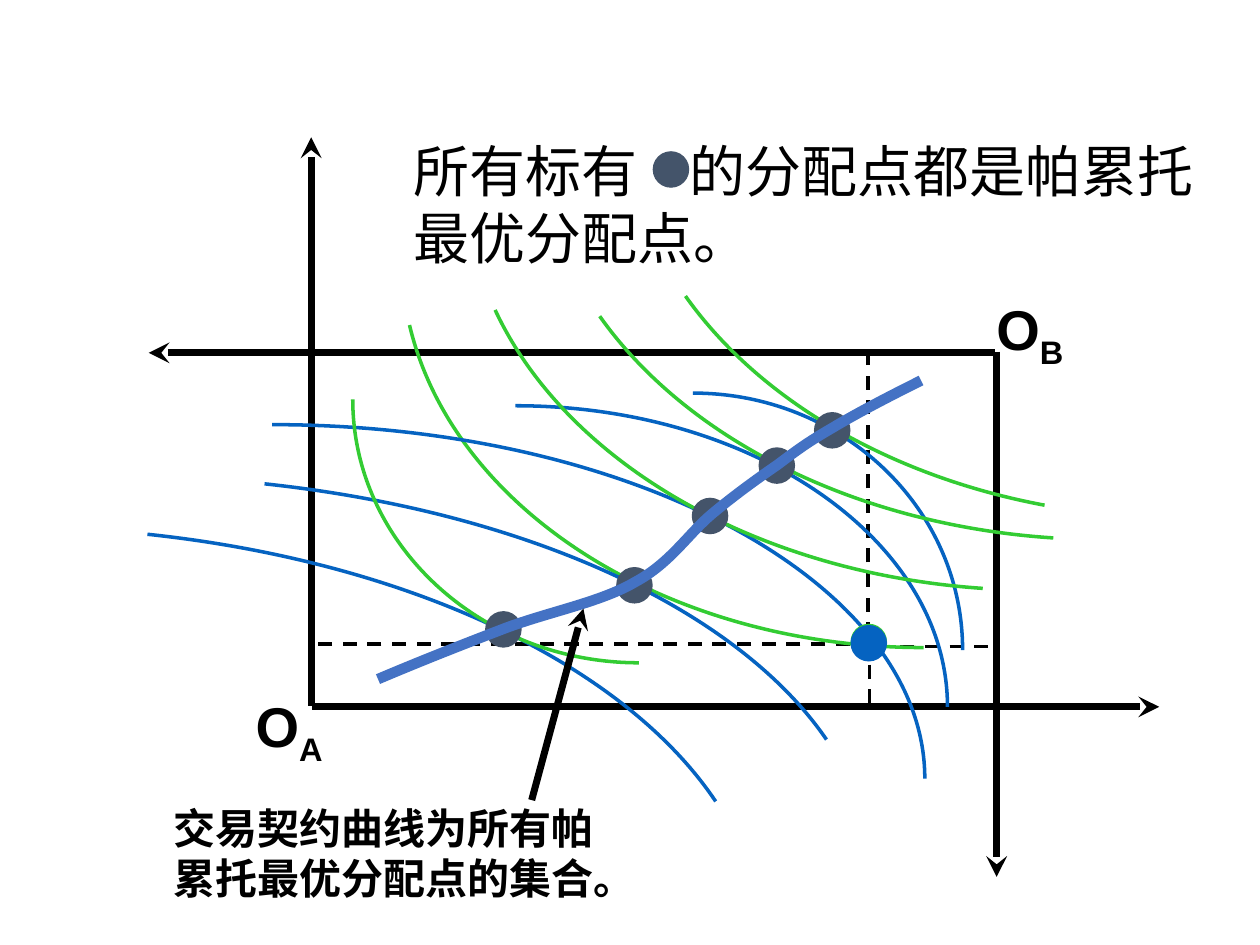
"""Build the Edgeworth box slide with its contract curve."""
from dataclasses import dataclass

import pptx
import pptx.dml.color
import pptx.enum.dml
import pptx.enum.shapes
import pptx.enum.text
import pptx.oxml
import pptx.oxml.ns
import pptx.util
from pptx.util import Inches

RGBColor = pptx.dml.color.RGBColor
BLACK = RGBColor(0x00, 0x00, 0x00)
GREEN = RGBColor(0x33, 0xCC, 0x33)
BLUE = RGBColor(0x05, 0x63, 0xC1)
SLATE = RGBColor(0x44, 0x54, 0x6A)
CONTRACT = RGBColor(0x44, 0x72, 0xC4)
DOT = 0.29
FONT = "Arial"

Point = tuple[float, float]


@dataclass
class Line:
    start: Point
    end: Point
    arrow: bool = True


@dataclass
class Curve:
    points: list[Point]
    color: RGBColor
    width: float = 2


@dataclass
class Dot:
    left: float
    top: float
    color: RGBColor = SLATE


@dataclass
class OriginLabel:
    left: float
    top: float
    agent: str


GUIDES = [
    Line((6.9, 5.08), (6.9, 5.6), False),
    Line((6.94, 5.11), (2.47, 5.11), False),
    Line((6.89, 5.05), (6.89, 2.82), False),
    Line((6.95, 5.13), (7.9, 5.13), False),
]
AXES = [
    Line((2.47, 5.6), (2.47, 1.09)),
    Line((2.48, 5.61), (9.2, 5.61)),
    Line((7.91, 2.79), (7.91, 6.96)),
    Line((7.9, 2.8), (1.18, 2.8)),
]
POINTER = Line((4.22, 6.35), (4.63, 4.83))
INDIFFERENCE = [
    Curve([(7.33, 5.14), (5.32, 5.14), (3.6, 4.06), (3.25, 2.58)], GREEN),
    Curve([(2.16, 3.37), (5.02, 3.37), (7.34, 4.63), (7.34, 6.18)], BLUE),
    Curve([(4.09, 3.22), (5.98, 3.22), (7.52, 4.29), (7.52, 5.61)], BLUE),
    Curve([(5.5, 3.12), (6.68, 3.12), (7.64, 4.03), (7.64, 5.16)], BLUE),
    Curve([(2.1, 3.84), (4.15, 4.06), (5.84, 4.82), (6.56, 5.87)], BLUE),
    Curve([(1.17, 4.24), (3.24, 4.46), (4.95, 5.27), (5.68, 6.36)], BLUE),
    Curve([(5.07, 5.26), (3.82, 5.26), (2.8, 4.32), (2.8, 3.17)], GREEN),
    Curve([(7.8, 4.67), (6.02, 4.55), (4.5, 3.68), (3.93, 2.46)], GREEN),
    Curve([(8.36, 4.27), (6.82, 4.17), (5.46, 3.5), (4.76, 2.51)], GREEN),
    Curve([(8.29, 4.01), (7.06, 3.78), (6.02, 3.17), (5.44, 2.35)], GREEN),
]
CONTRACT_CURVE = Curve([
    (3, 5.39), (3.33, 5.25), (3.66, 5.12), (4, 4.99),
    (4.34, 4.86), (4.77, 4.78), (5.04, 4.62),
    (5.32, 4.47), (5.46, 4.24), (5.65, 4.08),
    (5.83, 3.93), (6.01, 3.8), (6.17, 3.69),
    (6.33, 3.57), (6.41, 3.51), (6.6, 3.4),
    (6.8, 3.28), (7.05, 3.15), (7.31, 3.02),
], CONTRACT, 6)
DOTS = [
    Dot(6.75, 4.95, GREEN), Dot(6.75, 4.96, BLUE), Dot(3.85, 4.85),
    Dot(4.89, 4.5), Dot(5.49, 3.95), Dot(6.02, 3.55), Dot(6.46, 3.27),
    Dot(5.18, 1.2),
]
ORIGINS = [OriginLabel(1.93, 5.44, "A"), OriginLabel(7.81, 2.29, "B")]


def style_font(font, size: float, bold: bool) -> None:
    font.name = FONT
    font.size = pptx.util.Pt(size)
    font.bold = bold
    font.color.rgb = BLACK


def draw_line(s, line: Line) -> None:
    """Draw a heavy arrow or a thin dashed guide."""
    c = s.shapes.add_connector(
        pptx.enum.shapes.MSO_CONNECTOR.STRAIGHT,
        *(Inches(v) for v in line.start + line.end))
    c.line.color.rgb = BLACK
    c.line.width = pptx.util.Pt(4 if line.arrow else 2)
    if line.arrow:
        ln = c.line._get_or_add_ln()
        pptx.oxml.ns.qn("a:tailEnd")
        tail = ln.makeelement(pptx.oxml.ns.qn("a:tailEnd"), {"type": "stealth"})
        ln.append(tail)
    else:
        c.line.dash_style = pptx.enum.dml.MSO_LINE.DASH
    spPr = c._element.spPr
    spPr.append(spPr.makeelement(pptx.oxml.ns.qn("a:effectLst"), {}))


def draw_curve(s, curve: Curve) -> None:
    """Draw an open outline whose points after the first are Bezier triples."""
    pts = [(Inches(x), Inches(y)) for x, y in curve.points]
    fb = s.shapes.build_freeform(*pts[0])
    fb.add_line_segments(pts[1:], close=False)
    sp = fb.convert_to_shape()
    segments = list(sp._element.iter(pptx.oxml.ns.qn("a:lnTo")))
    for i in range(0, len(segments), 3):
        bezier = segments[i].makeelement(pptx.oxml.ns.qn("a:cubicBezTo"), {})
        segments[i].addprevious(bezier)
        for segment in segments[i:i + 3]:
            bezier.append(segment[0])
            segment.getparent().remove(segment)
    sp.shadow.inherit = False
    sp.fill.background()
    sp.line.color.rgb = curve.color
    sp.line.width = pptx.util.Pt(curve.width)


def draw_dot(s, dot: Dot) -> None:
    sp = s.shapes.add_shape(
        pptx.enum.shapes.MSO_SHAPE.OVAL,
        Inches(dot.left), Inches(dot.top), Inches(DOT), Inches(DOT))
    sp.shadow.inherit = False
    sp.fill.solid()
    sp.fill.fore_color.rgb = dot.color
    sp.line.fill.background()


def draw_origin(s, label: OriginLabel) -> None:
    """Write an origin's O with its agent as a subscript."""
    sp = s.shapes.add_textbox(
        Inches(label.left), Inches(label.top), Inches(0.76), Inches(0.63))
    tf = sp.text_frame
    tf.word_wrap = False
    p = tf.paragraphs[0]
    for text in ("O", label.agent):
        r = p.add_run()
        r.text = text
        style_font(r.font, 32, True)
    r._r.get_or_add_rPr().set("baseline", "-25000")


def write_title(s) -> None:
    """Fill the title, with a tab stop that leaves room for the dot."""
    sp = s.shapes.title
    sp.left, sp.top = Inches(3.18), Inches(1.03)
    sp.width, sp.height = Inches(6.56), Inches(1.18)
    tf = sp.text_frame
    tf.text = "所有标有\t的分配点都是帕累托\n最优分配点。"
    tf.word_wrap = True
    tf.auto_size = pptx.enum.text.MSO_AUTO_SIZE.NONE
    tf.vertical_anchor = pptx.enum.text.MSO_ANCHOR.TOP
    pPr = tf.paragraphs[0]._p.get_or_add_pPr()
    pPr.append(pptx.oxml.parse_xml(
        f'<a:tabLst {pptx.oxml.ns.nsdecls("a")}>'
        f'<a:tab pos="{Inches(2.19)}" algn="l"/></a:tabLst>'))
    for p in tf.paragraphs:
        p.alignment = pptx.enum.text.PP_ALIGN.LEFT
        for r in p.runs:
            style_font(r.font, 32, False)


def write_caption(s) -> None:
    sp = s.shapes.add_textbox(
        Inches(1.28), Inches(6.32), Inches(3.72), Inches(1.31))
    tf = sp.text_frame
    tf.word_wrap = True
    tf.text = "交易契约曲线为所有帕累托最优分配点的集合。"
    style_font(tf.paragraphs[0].runs[0].font, 24, True)


def main() -> None:
    prs = pptx.Presentation()
    prs.slide_width, prs.slide_height = Inches(10), Inches(7.5)
    s = prs.slides.add_slide(prs.slide_layouts[5])
    write_title(s)
    for draw, items in (
        (draw_line, AXES + GUIDES), (draw_origin, ORIGINS),
        (draw_curve, INDIFFERENCE), (draw_dot, DOTS),
        (draw_curve, [CONTRACT_CURVE]), (draw_line, [POINTER]),
    ):
        for item in items:
            draw(s, item)
    write_caption(s)
    prs.save("out.pptx")


if __name__ == "__main__":
    main()
